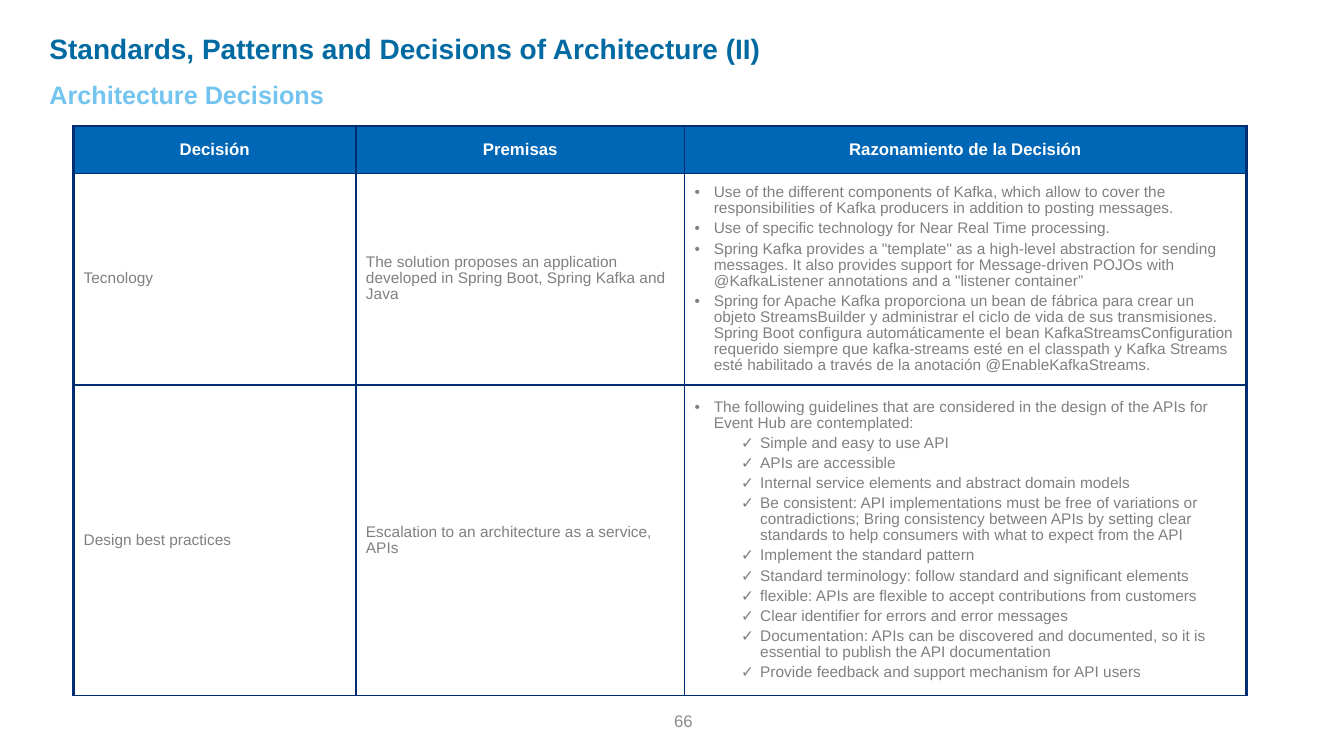
from lxml.etree import SubElement
from pptx import Presentation
from pptx.dml.color import RGBColor
from pptx.enum.text import MSO_ANCHOR, MSO_AUTO_SIZE, PP_ALIGN
from pptx.oxml import parse_xml
from pptx.oxml.ns import nsdecls, qn
from pptx.util import Inches, Pt

FONT = "Arial"
TITLE_BLUE = RGBColor(0x01, 0x6A, 0xA2)
SUBTITLE_BLUE = RGBColor(0x73, 0xC4, 0xEF)
HEADER_BLUE = RGBColor(0x00, 0x67, 0xB7)
BORDER_NAVY = RGBColor(0x00, 0x2D, 0x72)
BODY_GRAY = RGBColor(0x80, 0x80, 0x80)
PAGE_GRAY = RGBColor(0x8C, 0x8C, 0x8C)
WHITE = RGBColor(0xFF, 0xFF, 0xFF)

THICK, THIN = Pt(2.25), Pt(1)
COLUMN_WIDTHS = (2.8, 3.26, 5.57)
ROW_HEIGHTS = (0.47, 2.1, 3.08)
HANGING = 0.19
# Bullet sign and left margin in inches for each list level
LEVELS = (("•", 0.19), ("✓", 0.65))

HEADERS = ("Decisión", "Premisas", "Razonamiento de la Decisión")
DECISIONS = (
    (
        "Tecnology",
        "The solution proposes an application developed in Spring Boot, Spring Kafka and Java",
        (
            (0, "Use of the different components of Kafka, which allow to cover the "
                "responsibilities of Kafka producers in addition to posting messages."),
            (0, "Use of specific technology for Near Real Time processing."),
            (0, 'Spring Kafka provides a "template" as a high-level abstraction for sending '
                "messages. It also provides support for Message-driven POJOs with "
                '@KafkaListener annotations and a "listener container”'),
            (0, "Spring for Apache Kafka proporciona un bean de fábrica para crear un objeto "
                "StreamsBuilder y administrar el ciclo de vida de sus transmisiones. Spring Boot "
                "configura automáticamente el bean KafkaStreamsConfiguration requerido siempre "
                "que kafka-streams esté en el classpath y Kafka Streams esté habilitado a través "
                "de la anotación @EnableKafkaStreams."),
        ),
    ),
    (
        "Design best practices",
        "Escalation to an architecture as a service, APIs",
        (
            (0, "The following guidelines that are considered in the design of the APIs for "
                "Event Hub are contemplated:"),
            (1, "Simple and easy to use API"),
            (1, "APIs are accessible"),
            (1, "Internal service elements and abstract domain models"),
            (1, "Be consistent: API implementations must be free of variations or "
                "contradictions; Bring consistency between APIs by setting clear standards to "
                "help consumers with what to expect from the API"),
            (1, "Implement the standard pattern"),
            (1, "Standard terminology: follow standard and significant elements"),
            (1, "flexible: APIs are flexible to accept contributions from customers"),
            (1, "Clear identifier for errors and error messages"),
            (1, "Documentation: APIs can be discovered and documented, so it is essential to "
                "publish the API documentation"),
            (1, "Provide feedback and support mechanism for API users"),
        ),
    ),
)


def add_run(paragraph, text, size, color, bold=False):
    run = paragraph.add_run()
    run.text = text
    run.font.name = FONT
    run.font.size = Pt(size)
    run.font.bold = bold
    run.font.color.rgb = color


def place_line(shape, box, text, size, color, bold=False, align=PP_ALIGN.LEFT,
               anchor=MSO_ANCHOR.TOP, side_inset=0.05):
    """Position a text shape and give it one formatted line."""
    shape.left, shape.top, shape.width, shape.height = map(Inches, box)
    frame = shape.text_frame
    frame.word_wrap = True
    frame.auto_size = MSO_AUTO_SIZE.NONE
    frame.vertical_anchor = anchor
    frame.margin_left = frame.margin_right = Inches(side_inset)
    frame.margin_top = frame.margin_bottom = Inches(0.05)
    paragraph = frame.paragraphs[0]
    paragraph.alignment = align
    paragraph.line_spacing = 1.0
    add_run(paragraph, text, size, color, bold)


def set_bullet(paragraph, level):
    sign, margin = LEVELS[level]
    paragraph.level = level
    properties = paragraph._p.get_or_add_pPr()
    properties.set("marL", str(Inches(margin)))
    properties.set("indent", str(-Inches(HANGING)))
    SubElement(properties, qn("a:buFont"), typeface=FONT)
    SubElement(properties, qn("a:buChar"), char=sign)


def set_borders(cell, row, column):
    """Draw thick left, top and right table edges and thin lines elsewhere."""
    widths = {
        "lnL": THICK if column == 0 else THIN,
        "lnR": THICK if column == len(COLUMN_WIDTHS) - 1 else THIN,
        "lnT": THICK if row == 0 else THIN,
        "lnB": THIN,
    }
    properties = cell._tc.get_or_add_tcPr()
    for position, (side, width) in enumerate(widths.items()):
        properties.insert(position, parse_xml(
            f'<a:{side} {nsdecls("a")} w="{width}"><a:solidFill>'
            f'<a:srgbClr val="{BORDER_NAVY}"/></a:solidFill></a:{side}>'))


def fill_header(cell, text):
    cell.fill.solid()
    cell.fill.fore_color.rgb = HEADER_BLUE
    paragraph = cell.text_frame.paragraphs[0]
    paragraph.alignment = PP_ALIGN.CENTER
    add_run(paragraph, text, 12, WHITE, bold=True)


def fill_body(cell, content):
    """Write plain text, or a list of (level, text) bullets."""
    cell.fill.background()
    bulleted = not isinstance(content, str)
    items = content if bulleted else ((0, content),)
    for index, (level, text) in enumerate(items):
        frame = cell.text_frame
        paragraph = frame.add_paragraph() if index else frame.paragraphs[0]
        if bulleted:
            set_bullet(paragraph, level)
        paragraph.line_spacing = 0.93
        if index:
            paragraph.space_before = Pt(3)
        add_run(paragraph, text, 11, BODY_GRAY)


def add_decision_table(slide):
    table = slide.shapes.add_table(
        len(ROW_HEIGHTS), len(COLUMN_WIDTHS), Inches(0.73), Inches(1.25),
        Inches(sum(COLUMN_WIDTHS)), Inches(sum(ROW_HEIGHTS))).table
    table.horz_banding = False
    for column, width in zip(table.columns, COLUMN_WIDTHS):
        column.width = Inches(width)
    for row, height in zip(table.rows, ROW_HEIGHTS):
        row.height = Inches(height)
    for row, contents in enumerate((HEADERS, *DECISIONS)):
        for column, content in enumerate(contents):
            cell = table.cell(row, column)
            cell.vertical_anchor = MSO_ANCHOR.MIDDLE
            if row == 0:
                fill_header(cell, content)
            else:
                fill_body(cell, content)
            set_borders(cell, row, column)


def main():
    presentation = Presentation()
    presentation.slide_width = Inches(13.33)
    presentation.slide_height = Inches(7.5)
    slide = presentation.slides.add_slide(presentation.slide_layouts[5])

    place_line(slide.shapes.title, (0.44, 0.26, 8.3, 0.44),
               "Standards, Patterns and Decisions of Architecture (II)",
               20, TITLE_BLUE, bold=True)
    subtitle = slide.shapes.add_textbox(0, 0, 0, 0)
    place_line(subtitle, (0.44, 0.74, 7.82, 0.4), "Architecture Decisions",
               18, SUBTITLE_BLUE, bold=True)
    add_decision_table(slide)
    page_number = slide.shapes.add_textbox(0, 0, 0, 0)
    place_line(page_number, (3.34, 6.95, 3.63, 0.4), "66", 12, PAGE_GRAY,
               align=PP_ALIGN.RIGHT, anchor=MSO_ANCHOR.MIDDLE, side_inset=0.1)

    presentation.save("out.pptx")


if __name__ == "__main__":
    main()
